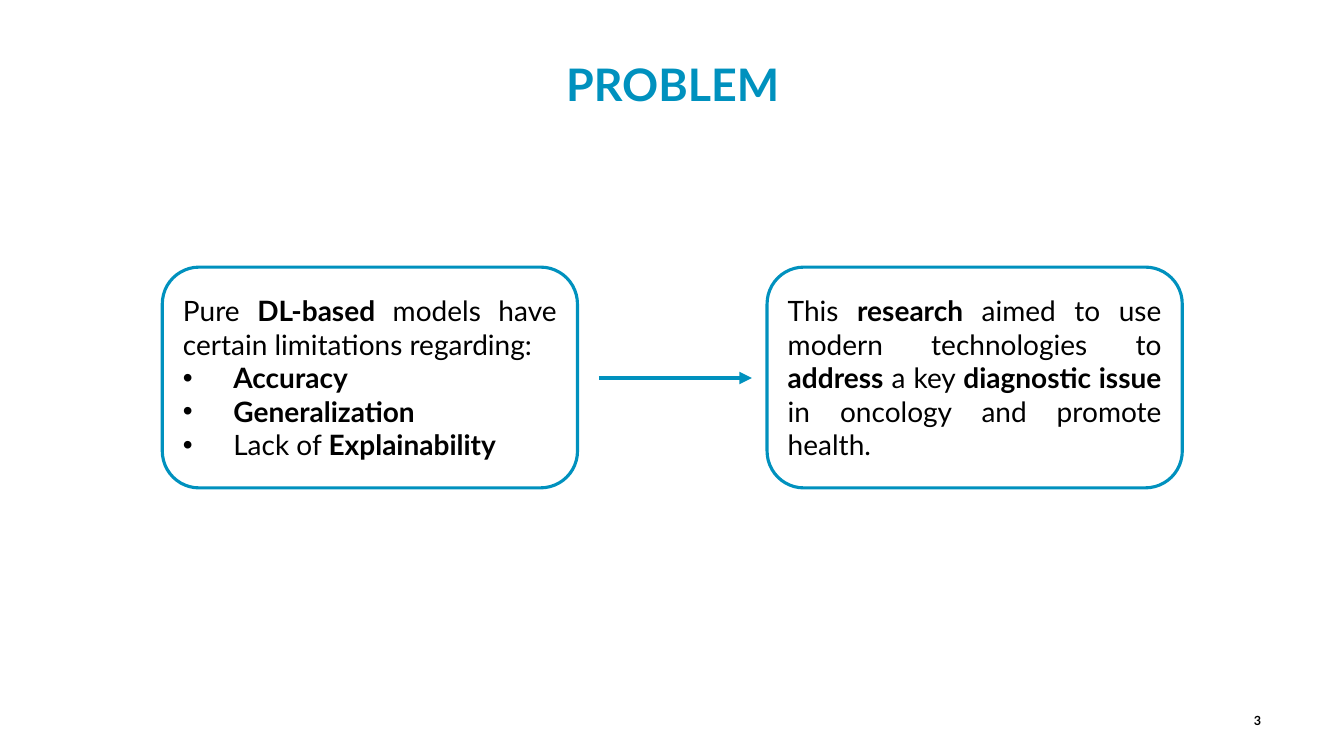
from pptx import Presentation
from pptx.dml.color import RGBColor
from pptx.enum.shapes import MSO_CONNECTOR, MSO_SHAPE
from pptx.enum.text import MSO_ANCHOR, MSO_AUTO_SIZE, PP_ALIGN
from pptx.oxml.ns import qn
from pptx.util import Pt
from lxml import etree

STRAIGHT = MSO_CONNECTOR.STRAIGHT
ROUNDED = MSO_SHAPE.ROUNDED_RECTANGLE
TOP, MIDDLE = MSO_ANCHOR.TOP, MSO_ANCHOR.MIDDLE
GROW = MSO_AUTO_SIZE.SHAPE_TO_FIT_TEXT
CENTER, RIGHT, JUSTIFY = PP_ALIGN.CENTER, PP_ALIGN.RIGHT, PP_ALIGN.JUSTIFY

SLIDE_WIDTH, SLIDE_HEIGHT = 960, 540
CARD_TOP, CARD_WIDTH, CARD_HEIGHT = 190.8, 296.6, 157.7
CARD_LEFTS = (115.9, 547.9)
ARROW_START, ARROW_END, ARROW_Y = 427.7, 537.1, 270

LIMITATIONS = [
    (False, [("Pure ", False), ("DL-based", True),
             (" models have certain limitations regarding:", False)]),
    (True, [("Accuracy", True)]),
    (True, [("Generalization", True)]),
    (True, [("Lack of ", False), ("Explainability", True)]),
]
AIM = [
    (False, [("This ", False), ("research", True),
             (" aimed to use modern technologies to ", False),
             ("address", True), (" a key ", False),
             ("diagnostic issue", True),
             (" in oncology and promote health.", False)]),
]


def color(value):
    return RGBColor.from_string(value)


def apply(target, values):
    for name, value in values.items():
        setattr(target, name, value)


class SlideBuilder:
    font = "Lato"
    accent = "0091BE"
    ink = "000000"
    paper = "FFFFFF"

    def __init__(self, page):
        self.page = page

    def add_text(self, frame, paragraphs, size, ink, align, anchor):
        apply(frame, {"word_wrap": True, "vertical_anchor": anchor})
        for index, (bulleted, spans) in enumerate(paragraphs):
            para = frame.add_paragraph() if index else frame.paragraphs[0]
            para.alignment = align
            if bulleted:
                self.bullet(para)
            for text, bold in spans:
                span = para.add_run()
                span.text = text
                apply(span.font, {"name": self.font, "size": Pt(size), "bold": bold})
                span.font.color.rgb = color(ink)

    def bullet(self, para):
        properties = para._p.get_or_add_pPr()
        properties.set("marL", str(Pt(36)))
        properties.set("indent", str(-Pt(36)))
        etree.SubElement(properties, qn("a:buFont")).set("typeface", "Arial")
        etree.SubElement(properties, qn("a:buChar")).set("char", "•")

    def title(self, text, left, top, width, height):
        box = self.page.shapes.title
        apply(box, {"left": Pt(left), "top": Pt(top),
                    "width": Pt(width), "height": Pt(height)})
        box.text_frame.auto_size = GROW
        self.add_text(box.text_frame, [(False, [(text, True)])], 32, self.accent, CENTER, TOP)

    def card(self, paragraphs, left, top, width, height):
        box = self.page.shapes.add_shape(ROUNDED, Pt(left), Pt(top), Pt(width), Pt(height))
        box.shadow.inherit = False
        box.fill.solid()
        box.fill.fore_color.rgb = color(self.paper)
        box.line.color.rgb = color(self.accent)
        box.line.width = Pt(2.25)
        self.add_text(box.text_frame, paragraphs, 20, self.ink, JUSTIFY, MIDDLE)

    def page_number(self, text, left, top, width, height):
        box = self.page.shapes.add_textbox(Pt(left), Pt(top), Pt(width), Pt(height))
        self.add_text(box.text_frame, [(False, [(text, True)])], 9, self.ink, RIGHT, MIDDLE)

    def arrow(self, start, end, y):
        connector = self.page.shapes.add_connector(STRAIGHT, Pt(start), Pt(y), Pt(end), Pt(y))
        connector.line.color.rgb = color(self.accent)
        connector.line.width = Pt(3)
        properties = connector._element.spPr
        outline = properties.find(qn("a:ln"))
        etree.SubElement(outline, qn("a:tailEnd")).set("type", "triangle")
        etree.SubElement(properties, qn("a:effectLst"))


def main():
    deck = Presentation()
    apply(deck, {"slide_width": Pt(SLIDE_WIDTH), "slide_height": Pt(SLIDE_HEIGHT)})
    builder = SlideBuilder(deck.slides.add_slide(deck.slide_layouts[5]))
    builder.title("PROBLEM", 0, 36.7, 961.2, 46)
    for left, paragraphs in zip(CARD_LEFTS, (LIMITATIONS, AIM)):
        builder.card(paragraphs, left, CARD_TOP, CARD_WIDTH, CARD_HEIGHT)
    builder.arrow(ARROW_START, ARROW_END, ARROW_Y)
    builder.page_number("3", 851, 500.4, 56.9, 28.8)
    deck.save("out.pptx")


if __name__ == "__main__":
    main()
